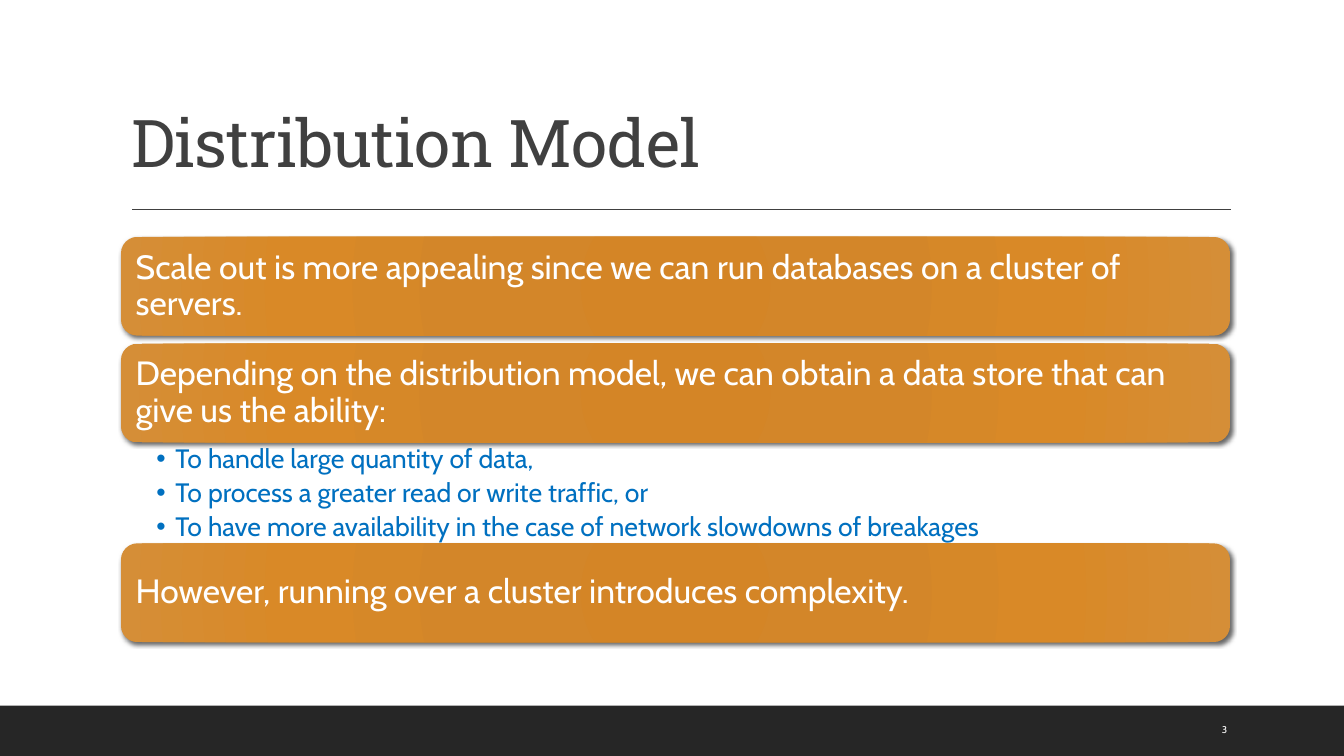
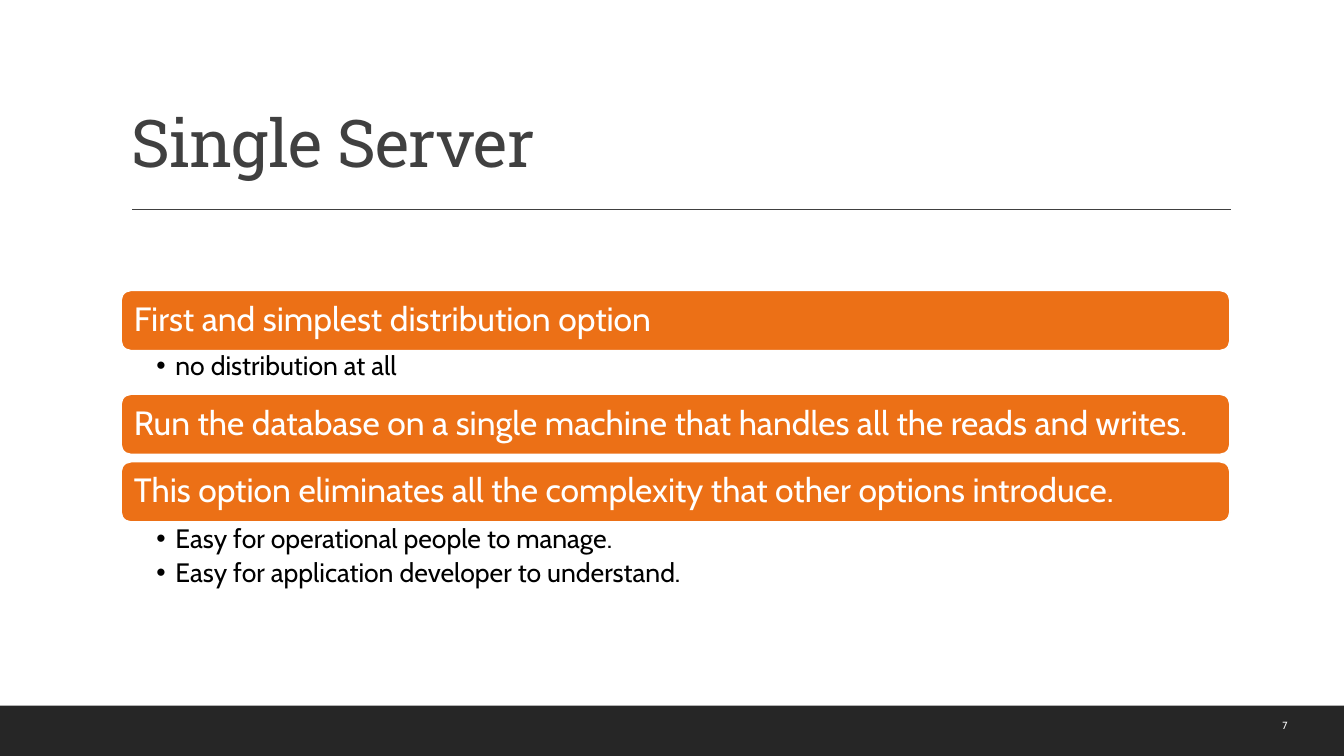
from lxml import etree
from pptx import Presentation
from pptx.dml.color import RGBColor
from pptx.enum.shapes import MSO_CONNECTOR as Connector, MSO_SHAPE as Shape
from pptx.enum.text import MSO_ANCHOR as Anchor, MSO_AUTO_SIZE as AutoSize, PP_ALIGN as Align
from pptx.oxml import parse_xml
from pptx.oxml.ns import nsdecls, qn
from pptx.util import Inches, Pt

INK, BAND, WHITE = "404040", "262626", "FFFFFF"
LEFT, WIDTH = 1.2, 11
GRADIENT_STOPS = [(0, "D48526"), (34, "D38629"), (70, "D98927"), (100, "D58E37")]

SLIDES = [
    {
        "title": "Distribution Model",
        "layout": 1,
        "bar_height": 0.98,
        "bar_fill": None,
        "list_color": "0070C0",
        "number": ("3", 7, Align.LEFT, Anchor.MIDDLE),
        "bars": [
            (2.35, "Scale out is more appealing since we can run databases on a cluster of servers."),
            (3.41, "Depending on the distribution model, we can obtain a data store that can give us the ability:"),
            (5.39, "However, running over a cluster introduces complexity."),
        ],
        "lists": [
            (4.39, 1.01, [
                "To handle large quantity of data,",
                "To process a greater read or write traffic, or",
                "To have more availability in the case of network slowdowns of breakages",
            ]),
        ],
    },
    {
        "title": "Single Server",
        "layout": 3,
        "bar_height": 0.6,
        "bar_fill": "EC7016",
        "list_color": "000000",
        "number": ("7", 7.4, Align.RIGHT, Anchor.TOP),
        "bars": [
            (2.88, "First and simplest distribution option"),
            (3.91, "Run the database on a single machine that handles all the reads and writes."),
            (4.58, "This option eliminates all the complexity that other options introduce."),
        ],
        "lists": [
            (3.47, 0.43, ["no distribution at all"]),
            (5.18, 0.67, [
                "Easy for operational people to manage.",
                "Easy for application developer to understand.",
            ]),
        ],
    },
]


def color(value):
    return RGBColor.from_string(value)


def write(shape, lines, font, size, value, anchor, align=Align.LEFT, insets=(0.1, 0.1, 0.1, 0.1)):
    frame = shape.text_frame
    frame.text = "\n".join(lines)
    frame.word_wrap = True
    frame.auto_size = AutoSize.NONE
    frame.vertical_anchor = anchor
    frame.margin_left, frame.margin_top, frame.margin_right, frame.margin_bottom = map(Inches, insets)
    for para in frame.paragraphs:
        para.alignment = align
        para.line_spacing = 0.9
        para.space_before = Pt(0)
        for span in para.runs:
            span.font.name = font
            span.font.size = Pt(size)
            span.font.color.rgb = color(value)
    return frame.paragraphs


deck = Presentation()
deck.slide_width, deck.slide_height = Inches(13.33), Inches(7.5)

for number, content in enumerate(SLIDES):
    page = deck.slides.add_slide(deck.slide_layouts[content["layout"]])
    title, *bodies = page.placeholders

    if number == 0:
        band = page.shapes.add_shape(Shape.RECTANGLE, 0, Inches(7), deck.slide_width, Inches(0.5))
        band.shadow.inherit = False
        band.fill.solid()
        band.fill.fore_color.rgb = color(BAND)
        band.line.fill.background()
        rule = page.shapes.add_connector(
            Connector.STRAIGHT, Inches(1.31), Inches(2.08), Inches(12.21), Inches(2.08))
        rule.line.color.rgb = color(INK)
        rule.line.width = Pt(1)
        etree.SubElement(rule.element.spPr, qn("a:effectLst"))
        for shared in (band, rule):
            deck.slide_master.shapes.element.append(shared.element)

    title.left, title.top, title.width, title.height = map(Inches, (LEFT, 0.31, WIDTH, 1.59))
    for para in write(title, [content["title"]], "Roboto Slab", 47, INK, Anchor.BOTTOM):
        para.runs[0].font._element.set("spc", "-50")

    for top, text in content["bars"]:
        bar = page.shapes.add_shape(
            Shape.ROUNDED_RECTANGLE, *map(Inches, (LEFT, top, WIDTH, content["bar_height"])))
        bar.shadow.inherit = False
        if content["bar_fill"]:
            bar.fill.solid()
            bar.fill.fore_color.rgb = color(content["bar_fill"])
            bar.line.color.rgb = color(WHITE)
            bar.line.width = Pt(1.25)
        else:
            bar.line.fill.background()
            stops = "".join(
                f'<a:gs pos="{position * 1000}"><a:srgbClr val="{value}"/></a:gs>'
                for position, value in GRADIENT_STOPS)
            properties = bar.element.spPr
            properties.find(qn("a:prstGeom")).addnext(parse_xml(
                f'<a:gradFill {nsdecls("a")} rotWithShape="1"><a:gsLst>{stops}</a:gsLst>'
                '<a:path path="circle"><a:fillToRect l="100000" t="100000" r="100000" b="100000"/>'
                '</a:path></a:gradFill>'))
            properties.find(qn("a:effectLst")).append(parse_xml(
                f'<a:outerShdw {nsdecls("a")} blurRad="{Pt(3)}" dist="{Pt(2)}" dir="2700000" '
                'algn="br" rotWithShape="0"><a:srgbClr val="000000"><a:alpha val="60000"/>'
                '</a:srgbClr></a:outerShdw>'))
        write(bar, [text], "Cabin", 24, WHITE, Anchor.MIDDLE)

    for body, (top, height, items) in zip(bodies, content["lists"]):
        body.left, body.top, body.width, body.height = map(Inches, (LEFT, top, WIDTH, height))
        for para in write(body, items, "Cabin", 19, content["list_color"], Anchor.TOP,
                          insets=(0.35, 0.03, 0.19, 0.03)):
            para.space_after = Pt(3.8)
            indent = para._p.get_or_add_pPr()
            indent.set("marL", str(Inches(0.19)))
            indent.set("indent", str(-Inches(0.19)))

    text, size, align, anchor = content["number"]
    box = page.shapes.add_textbox(*map(Inches, (12.02, 7.05, 0.85, 0.4)))
    write(box, [text], "Cabin", size, WHITE, anchor, align)

deck.save("out.pptx")
